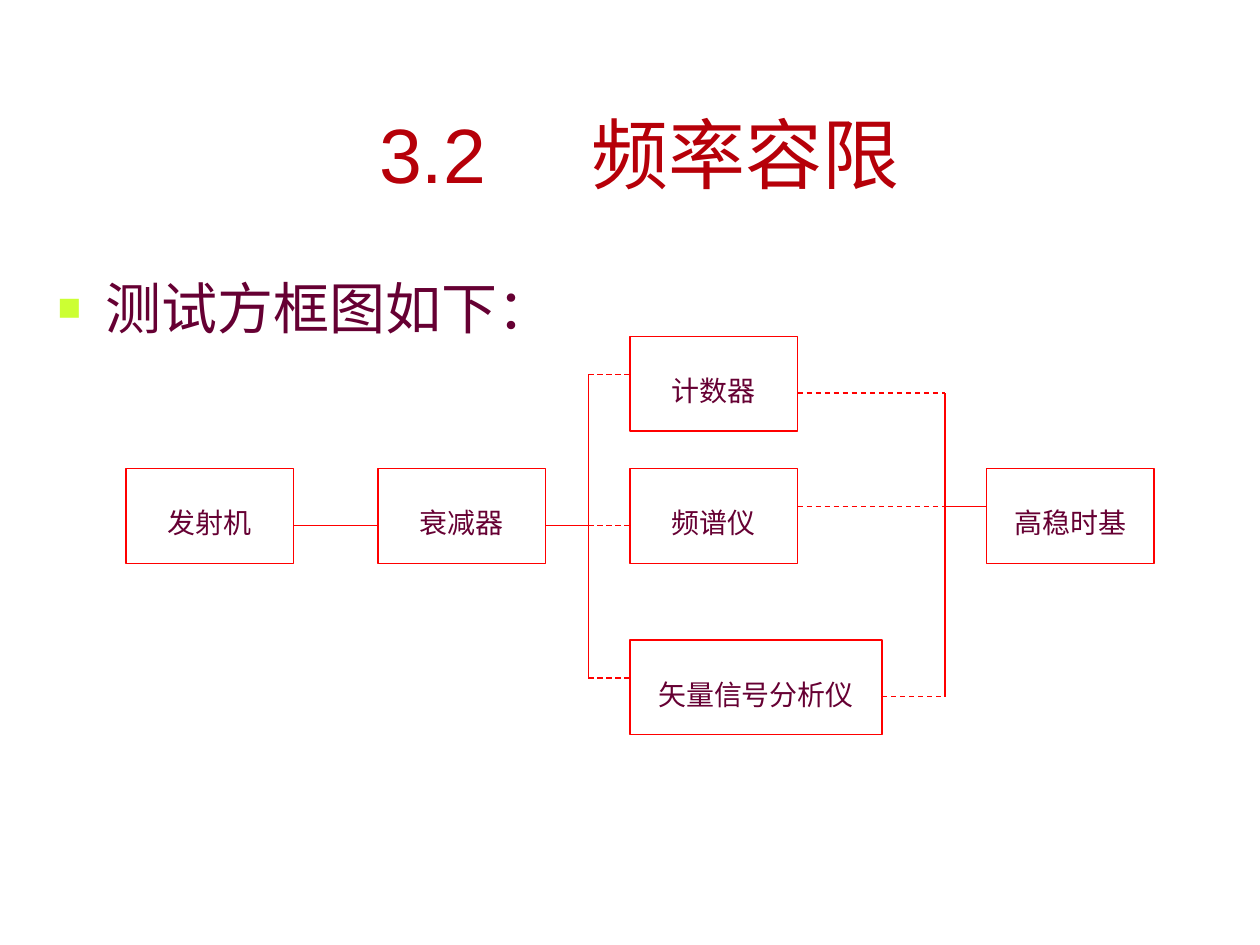
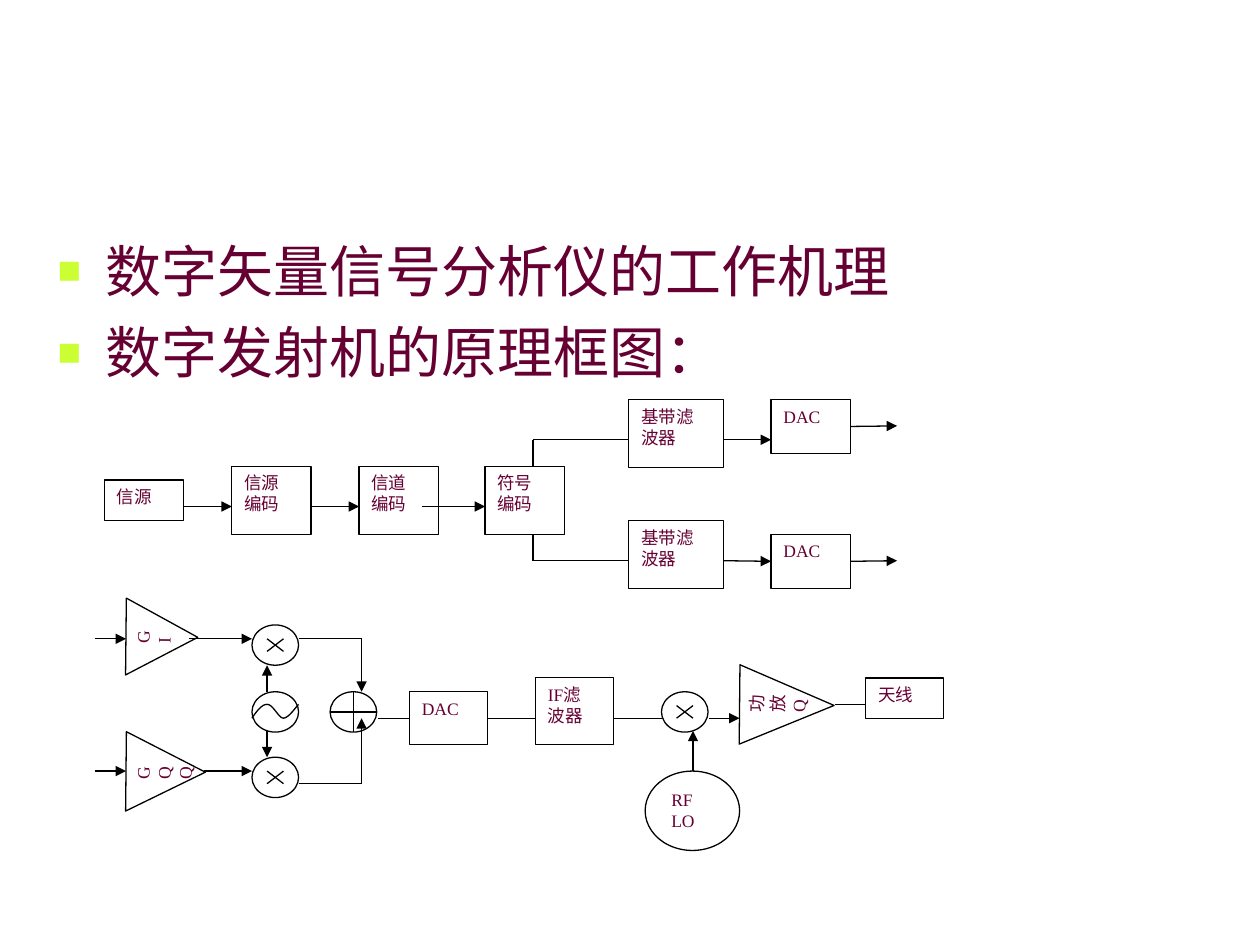
from dataclasses import dataclass

from lxml.etree import SubElement
from pptx import Presentation
from pptx.dml.color import RGBColor
from pptx.enum.dml import MSO_LINE
from pptx.enum.shapes import MSO_CONNECTOR, MSO_SHAPE
from pptx.enum.text import MSO_ANCHOR, PP_ALIGN
from pptx.oxml.ns import qn
from pptx.util import Inches, Pt


@dataclass(frozen=True)
class Theme:
    title: str = "B60009"
    text: str = "660033"
    bullet: str = "CCFF33"
    test_line: str = "FF0000"
    block_line: str = "000000"
    block_fill: str = "FFFFFF"
    title_size: int = 44
    body_size: int = 32
    test_size: int = 16
    block_size: int = 10
    line_width: float = 0.75
    sans: str = "Arial"
    serif: str = "Times New Roman"


THEME = Theme()

# Slide 1: test set-up
TITLE = ("3.2", "频率容限")
TITLE_GAP = 48  # points added to the space between number and name
TEST_BULLETS = ["测试方框图如下："]
TEST_BOX_HEIGHT = 0.75
TEST_BOXES = [  # text, left, top, width
    ("衰减器", 3, 3.72, 1.33),
    ("计数器", 5, 2.67, 1.33),
    ("发射机", 1, 3.72, 1.33),
    ("频谱仪", 5, 3.72, 1.33),
    ("高稳时基", 7.83, 3.72, 1.33),
    ("矢量信号分析仪", 5, 5.08, 2),
]
INPUT_BUS, CLOCK_BUS = 4.67, 7.5
SIGNAL_Y, CLOCK_Y = 4.17, 4.02
INPUT_TAPS = [2.97, SIGNAL_Y, 5.38]
CLOCK_TAPS = [(6.33, 3.12), (6.33, CLOCK_Y), (7, 5.53)]
TEST_WIRES = [  # start x, start y, end x, end y
    (2.33, SIGNAL_Y, 3, SIGNAL_Y),
    (4.33, SIGNAL_Y, INPUT_BUS, SIGNAL_Y),
    (INPUT_BUS, INPUT_TAPS[0], INPUT_BUS, INPUT_TAPS[-1]),
    (CLOCK_BUS, CLOCK_TAPS[0][1], CLOCK_BUS, CLOCK_TAPS[-1][1]),
    (CLOCK_BUS, CLOCK_Y, 7.83, CLOCK_Y),
]

# Slide 2: digital transmitter
TRANSMITTER_BULLETS = ["数字矢量信号分析仪的工作机理", "数字发射机的原理框图："]
BLOCKS = [  # text, left, top, width, height
    ("信源", 0.83, 3.81, 0.63, 0.32),
    ("信源\n编码", 1.84, 3.7, 0.63, 0.54),
    ("信道\n编码", 2.85, 3.7, 0.63, 0.54),
    ("符号\n编码", 3.85, 3.7, 0.63, 0.54),
    ("基带滤\n波器", 4.99, 3.17, 0.75, 0.54),
    ("基带滤\n波器", 4.99, 4.13, 0.75, 0.54),
    ("DAC", 6.12, 3.17, 0.63, 0.43),
    ("DAC", 6.12, 4.24, 0.63, 0.43),
    ("DAC", 3.25, 5.49, 0.62, 0.42),
    ("IF滤\n波器", 4.25, 5.38, 0.62, 0.53),
    ("天线", 6.87, 5.38, 0.62, 0.32),
]
AMPLIFIERS = [
    ("GI", 0.98, 4.77, 0.61, 0.57),
    ("GQQ", 1, 5.81, 0.63, 0.63),
    ("功放Q", 5.93, 5.22, 0.63, 0.75),
]
AMPLIFIER_TURN = 270.6
LOCAL_OSCILLATOR = ("RF LO", 5.12, 6.12, 0.75, 0.63)
NODE_SIZE = (0.37, 0.32)
MIXERS = [(2, 4.96), (2, 6.01), (5.25, 5.49)]
OSCILLATOR = (2, 5.49)
ADDER = (2.62, 5.49)
SINE_CURVES = [  # cubic curves, four points each
    ((2, 5.7), (2.04, 5.64), (2.08, 5.59), (2.12, 5.59)),
    ((2.12, 5.59), (2.17, 5.59), (2.21, 5.7), (2.25, 5.7)),
    ((2.25, 5.7), (2.29, 5.7), (2.35, 5.61), (2.37, 5.59)),
]
PLAIN_WIRES = [
    (4.23, 3.49, 4.23, 3.7),
    (4.23, 3.49, 4.99, 3.49),
    (4.23, 4.24, 4.23, 4.45),
    (4.23, 4.45, 4.99, 4.45),
    (2.37, 5.07, 2.87, 5.07),
    (2.37, 6.22, 2.87, 6.22),
    (3, 5.7, 3.25, 5.7),
    (3.87, 5.7, 4.25, 5.7),
    (4.87, 5.7, 5.25, 5.7),
    (6.63, 5.59, 6.87, 5.59),
]
ARROWS = [
    (1.46, 4.02, 1.84, 4.02),
    (2.47, 4.02, 2.85, 4.02),
    (3.35, 4.02, 3.85, 4.02),
    (5.74, 3.49, 6.12, 3.49),
    (5.74, 4.45, 6.12, 4.45),
    (6.75, 3.38, 7.12, 3.38),
    (6.75, 4.45, 7.12, 4.45),
    (0.75, 5.07, 1, 5.07),
    (0.75, 6.12, 1, 6.12),
    (1.5, 5.07, 2, 5.07),
    (1.62, 6.12, 2, 6.12),
    (2.12, 5.49, 2.12, 5.28),
    (2.12, 5.8, 2.12, 6.01),
    (2.87, 5.07, 2.87, 5.49),
    (2.87, 6.22, 2.87, 5.7),
    (5.63, 5.7, 5.87, 5.7),
    (5.5, 6.12, 5.5, 5.8),
]


def write(para, text, *, size, font=THEME.serif, color=THEME.text, spacing=0):
    span = para.add_run()
    span.text = text
    span.font.size = Pt(size)
    span.font.name = font
    span.font.color.rgb = RGBColor.from_string(color)
    if spacing:
        span.font._element.set("spc", str(spacing * 100))


def paragraphs(frame, lines, *, align, line_spacing=None, **style):
    """Write one paragraph per line and return the paragraphs."""
    frame.word_wrap = True
    for number, line in enumerate(lines):
        para = frame.add_paragraph() if number else frame.paragraphs[0]
        para.alignment = align
        para.line_spacing = line_spacing
        write(para, line, **style)
    return frame.paragraphs


def add_text_box(page, left, top, width, height):
    box = page.shapes.add_textbox(*map(Inches, (left, top, width, height)))
    box.text_frame.word_wrap = True
    return box.text_frame


def add_title(page):
    frame = add_text_box(page, 0.35, 0.79, 9.45, 0.84)
    frame.vertical_anchor = MSO_ANCHOR.BOTTOM
    para = frame.paragraphs[0]
    para.alignment = PP_ALIGN.CENTER
    style = dict(size=THEME.title_size, font=THEME.sans, color=THEME.title)
    number, name = TITLE
    write(para, number, **style)
    write(para, " ", spacing=TITLE_GAP, **style)
    write(para, name, **style)


def add_bullets(page, lines, top, height, font):
    frame = add_text_box(page, 0.36, top, 8.98, height)
    for para in paragraphs(frame, lines, align=PP_ALIGN.LEFT,
                           size=THEME.body_size, font=font):
        para.space_before = Pt(8)
        props = para._p.get_or_add_pPr()
        props.set("marL", str(Inches(0.38)))
        props.set("indent", str(-Inches(0.38)))
        color = SubElement(props, qn("a:buClr"))
        SubElement(color, qn("a:srgbClr"), val=THEME.bullet)
        SubElement(props, qn("a:buSzPct"), val="70000")
        SubElement(props, qn("a:buFont"), typeface=THEME.sans)
        SubElement(props, qn("a:buChar"), char="■")


def set_outline(line, color):
    line.color.rgb = RGBColor.from_string(color)
    line.width = Pt(THEME.line_width)


def add_block(page, left, top, width, height, *, text="", kind=MSO_SHAPE.RECTANGLE,
              line=THEME.block_line, fill=THEME.block_fill, size=THEME.block_size,
              align=PP_ALIGN.JUSTIFY, line_spacing=None, turn=0):
    box = page.shapes.add_shape(kind, *map(Inches, (left, top, width, height)))
    box.shadow.inherit = False
    box.rotation = turn
    set_outline(box.line, line)
    if fill:
        box.fill.solid()
        box.fill.fore_color.rgb = RGBColor.from_string(fill)
    else:
        box.fill.background()
    if text:
        box.text_frame.vertical_anchor = MSO_ANCHOR.TOP
        paragraphs(box.text_frame, text.split("\n"), align=align,
                   line_spacing=line_spacing, size=size)
    return box


def find_side(boxes, x, y):
    """Return the box and side whose middle lies at the point, if there is one."""
    for box in boxes:
        middle_x, middle_y = box.left + box.width / 2, box.top + box.height / 2
        sides = [(middle_x, box.top), (box.left, middle_y),
                 (middle_x, box.top + box.height), (box.left + box.width, middle_y)]
        for side, (side_x, side_y) in enumerate(sides):
            if max(abs(side_x - Inches(x)), abs(side_y - Inches(y))) < Inches(0.02):
                return box, side
    return None


def add_wire(page, wire, boxes=(), *, color=THEME.block_line, dashed=False, arrow=False):
    link = page.shapes.add_connector(MSO_CONNECTOR.STRAIGHT, *map(Inches, wire))
    set_outline(link.line, color)
    if dashed:
        link.line.dash_style = MSO_LINE.DASH
    if arrow:
        SubElement(link.line._get_or_add_ln(), qn("a:tailEnd"), type="triangle")
    SubElement(link._element.spPr, qn("a:effectLst"))
    for join, point in ((link.begin_connect, wire[:2]), (link.end_connect, wire[2:])):
        target = find_side(boxes, *point)
        if target:
            join(*target)


def add_mixer(page, left, top):
    add_block(page, left, top, *NODE_SIZE, kind=MSO_SHAPE.OVAL)
    x1, x2, y1, y2 = left + 0.12, left + 0.25, top + 0.11, top + 0.21
    add_wire(page, (x1, y1, x2, y2))
    add_wire(page, (x2, y1, x1, y2))


def curve_point(curve, t):
    weights = ((1 - t) ** 3, 3 * t * (1 - t) ** 2, 3 * t ** 2 * (1 - t), t ** 3)
    return tuple(Inches(sum(w * point[axis] for w, point in zip(weights, curve)))
                 for axis in (0, 1))


def add_sine(page, steps=10):
    points = [curve_point(curve, step / steps)
              for curve in SINE_CURVES for step in range(steps + 1)]
    builder = page.shapes.build_freeform(*points[0])
    builder.add_line_segments(points[1:], close=False)
    sine = builder.convert_to_shape()
    sine.shadow.inherit = False
    sine.fill.background()
    set_outline(sine.line, THEME.block_line)


def build_test_page(page):
    add_title(page)
    add_bullets(page, TEST_BULLETS, 2.12, 4.5, THEME.sans)
    boxes = [add_block(page, left, top, width, TEST_BOX_HEIGHT, text=text,
                       line=THEME.test_line, fill=None, size=THEME.test_size,
                       align=PP_ALIGN.CENTER, line_spacing=1.92)
             for text, left, top, width in TEST_BOXES]
    taps = [(INPUT_BUS, y, 5, y) for y in INPUT_TAPS]
    taps += [(x, y, CLOCK_BUS, y) for x, y in CLOCK_TAPS]
    for wires, dashed in ((TEST_WIRES, False), (taps, True)):
        for wire in wires:
            add_wire(page, wire, boxes, color=THEME.test_line, dashed=dashed)


def build_transmitter_page(page):
    add_bullets(page, TRANSMITTER_BULLETS, 1.83, 5.17, THEME.serif)
    boxes = [add_block(page, *place, text=text) for text, *place in BLOCKS]
    for text, *place in AMPLIFIERS:
        add_block(page, *place, text=text, kind=MSO_SHAPE.FLOWCHART_MERGE,
                  turn=AMPLIFIER_TURN)
    text, *place = LOCAL_OSCILLATOR
    add_block(page, *place, text=text, kind=MSO_SHAPE.OVAL)
    add_block(page, *ADDER, *NODE_SIZE, kind=MSO_SHAPE.FLOWCHART_OR)
    add_block(page, *OSCILLATOR, *NODE_SIZE, kind=MSO_SHAPE.OVAL)
    add_sine(page)
    for mixer in MIXERS:
        add_mixer(page, *mixer)
    for wires, arrow in ((PLAIN_WIRES, False), (ARROWS, True)):
        for wire in wires:
            add_wire(page, wire, boxes, arrow=arrow)


def main():
    deck = Presentation()
    deck.slide_width, deck.slide_height = Inches(10), Inches(7.5)
    for build in (build_test_page, build_transmitter_page):
        build(deck.slides.add_slide(deck.slide_layouts[6]))
    deck.save("out.pptx")


if __name__ == "__main__":
    main()
